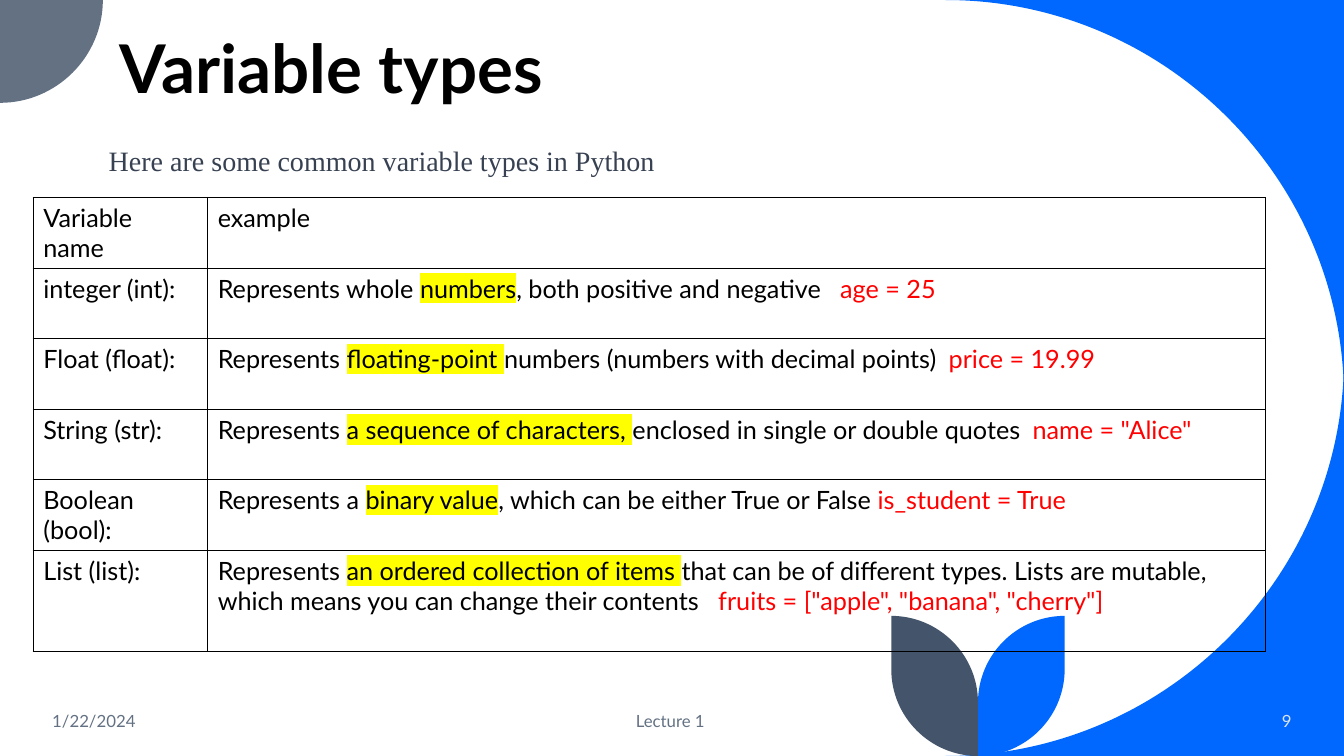
"""Build the slide on common Python variable types."""
import pptx
import pptx.dml.color
import pptx.enum.text
import pptx.oxml
import pptx.oxml.ns
import pptx.util

RGB = pptx.dml.color.RGBColor
BLACK = RGB(0x00, 0x00, 0x00)
BLUE = RGB(0x00, 0x68, 0xFF)
GRAY = RGB(0x63, 0x71, 0x83)
NAVY = RGB(0x44, 0x54, 0x6A)
PALE = RGB(0xDA, 0xE5, 0xEF)
INK = RGB(0x37, 0x41, 0x51)
RED = RGB(0xFF, 0x00, 0x00)
YELLOW = RGB(0xFF, 0xFF, 0x00)
ALIGN = pptx.enum.text.PP_ALIGN
ANCHOR = pptx.enum.text.MSO_ANCHOR
NS = pptx.oxml.ns.nsdecls("a")
qn = pptx.oxml.ns.qn
Inches, Pt = pptx.util.Inches, pptx.util.Pt
W, H = 13.33, 7.5
ROUND = 0.55


def write(p, text, size=18, color=BLACK, font="Lato", bold=False, mark=None, spacing=0):
    r = p.add_run()
    r.text = text
    r.font.size, r.font.name = Pt(size), font
    r.font.color.rgb = color
    rPr = r.font.fill._xPr
    if bold:
        r.font.bold = True
    if mark:
        rPr.find(qn("a:solidFill")).addnext(pptx.oxml.parse_xml(
            f'<a:highlight {NS}><a:srgbClr val="{mark}"/></a:highlight>'))
    if spacing:
        rPr.set("spc", str(spacing * 100))


def toward(a, b):
    return tuple(m + (n - m) * ROUND for m, n in zip(a, b))


prs = pptx.Presentation()
prs.slide_width, prs.slide_height = Inches(W), Inches(H)
s = prs.slides.add_slide(prs.slide_layouts[6])

sweep, disc, leaf = 3.95, 1.02, 0.86
stem, leaf_top = 9.7, 6.11
outlines = [
    (BLUE, (W, 0), [((W - sweep, 0), (W, 0), (W, sweep))]),
    (BLUE, (W, H), [((W, H - sweep), (W, H), (W - sweep, H))]),
    (GRAY, (0, 0), [((disc, 0), (disc, disc), (0, disc))]),
]
for color, tip in ((BLUE, stem + leaf), (NAVY, stem - leaf)):
    outlines.append((color, (tip, leaf_top), [
        ((tip, H - leaf), (tip, H), (stem, H)),
        ((stem, leaf_top + leaf), (stem, leaf_top), (tip, leaf_top)),
    ]))

for color, start, quarters in outlines:
    builder = s.shapes.build_freeform(*map(Inches, start))
    for a, corner, b in quarters:
        points = (a, toward(a, corner), toward(b, corner), b)
        builder.add_line_segments([tuple(map(Inches, xy)) for xy in points], close=b is quarters[-1][2])
    sp = builder.convert_to_shape()
    segments = list(sp._element.iter(qn("a:lnTo")))
    for n in range(0, len(segments), 4):
        curve = pptx.oxml.parse_xml(f"<a:cubicBezTo {NS}/>")
        segments[n].addnext(curve)
        for segment in segments[n + 1:n + 4]:
            curve.append(segment[0])
            segment.getparent().remove(segment)
    sp.shadow.inherit = False
    sp.fill.solid()
    sp.fill.fore_color.rgb = color
    sp.line.fill.background()

foot_y, foot_h = 6.95, 0.4
labels = [
    ("Variable types", (1.09, 0.05, 10.69, 1.07), ANCHOR.BOTTOM, ALIGN.LEFT,
     dict(size=48, bold=True)),
    ("Here are some common variable types in Python", (0.98, 1.37, 6.67, 0.44),
     ANCHOR.TOP, ALIGN.LEFT, dict(size=20, color=INK, font="Times New Roman")),
    ("1/22/2024", (0.42, foot_y, 3, foot_h), ANCHOR.MIDDLE, ALIGN.LEFT,
     dict(size=12, color=GRAY)),
    ("Lecture 1 ", (4.42, foot_y, 4.5, foot_h), ANCHOR.MIDDLE, ALIGN.CENTER,
     dict(size=12, color=GRAY)),
    ("9", (11.1, foot_y, 1.81, foot_h), ANCHOR.MIDDLE, ALIGN.RIGHT,
     dict(size=12, color=PALE)),
]
for text, box, anchor, align, style in labels:
    tf = s.shapes.add_textbox(*map(Inches, box)).text_frame
    tf.word_wrap, tf.vertical_anchor = True, anchor
    p = tf.paragraphs[0]
    p.alignment = align
    if style["size"] == 48:
        p.line_spacing = 0.9
    write(p, text, **style)

rows = [
    ("Variable name", "example", "", "", 0, ""),
    ("integer (int):", "Represents whole ", "numbers",
     ", both positive and negative ", 9, "age = 25"),
    ("Float (float):", "Represents ", "floating-point ",
     "numbers (numbers with decimal points) ", 4, "price = 19.99"),
    ("String (str):", "Represents ", "a sequence of characters, ",
     "enclosed in single or double quotes ", 4, 'name = "Alice"'),
    ("Boolean (bool):", "Represents a ", "binary value",
     ", which can be either True or False ", 0, "is_student = True"),
    ("List (list):", "Represents ", "an ordered collection of items ",
     "that can be of different types. Lists are mutable, "
     "which means you can change their contents ", 9,
     'fruits = ["apple", "banana", "cherry"]'),
]
columns, row_h, last_h = (1.73, 10.49), 0.7, 1.0
table_h = row_h * (len(rows) - 1) + last_h
table = s.shapes.add_table(len(rows), len(columns), Inches(0.33), Inches(1.96),
                           Inches(sum(columns)), Inches(table_h)).table
table.first_row = table.horz_banding = False
for column, width in zip(table.columns, columns):
    column.width = Inches(width)

for i, (kind, lead, marked, rest, gap, example) in enumerate(rows):
    table.rows[i].height = Inches(last_h if i == len(rows) - 1 else row_h)
    name_cell, example_cell = table.rows[i].cells
    write(name_cell.text_frame.paragraphs[0], kind)
    p = example_cell.text_frame.paragraphs[0]
    write(p, lead)
    if example:
        write(p, marked, mark=YELLOW)
        write(p, rest[:-1])
        write(p, rest[-1], spacing=gap)
        write(p, example, color=RED)
    for cell in (name_cell, example_cell):
        cell.fill.background()
        tcPr = cell._tc.get_or_add_tcPr()
        for n, edge in enumerate(("lnL", "lnR", "lnT", "lnB")):
            tcPr.insert(n, pptx.oxml.parse_xml(
                f'<a:{edge} {NS} w="{Pt(1)}"><a:solidFill><a:srgbClr val="{BLACK}"/>'
                f'</a:solidFill></a:{edge}>'))

prs.save("out.pptx")
